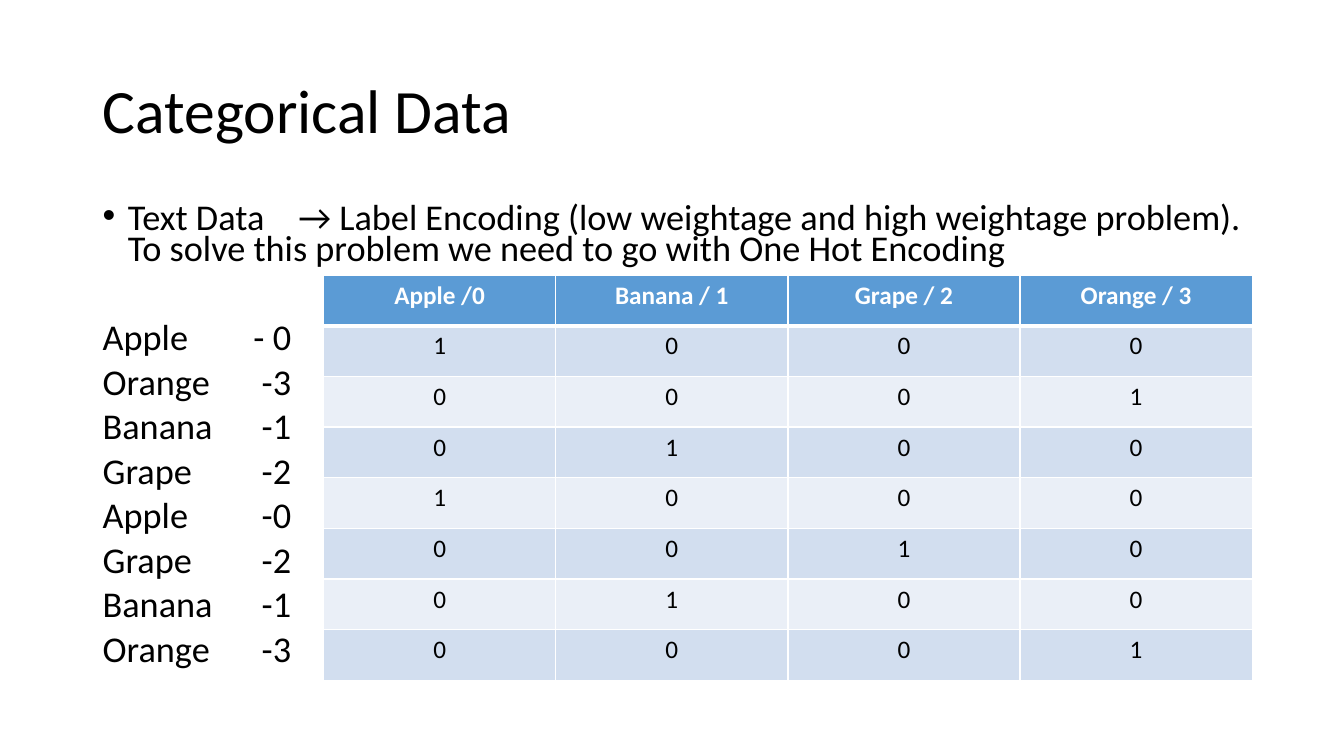
from lxml import etree
from pptx import Presentation
from pptx.dml.color import RGBColor
from pptx.enum.text import MSO_ANCHOR, PP_ALIGN
from pptx.oxml.ns import qn
from pptx.util import Inches, Pt

TITLE = "Categorical Data"
INTRO = ("Text Data\t→ Label Encoding (low weightage and high weightage problem). "
         "To solve this problem we need to go with One Hot Encoding")
ITEMS = [("Apple", "- 0"), ("Orange", "-3"), ("Banana", "-1"), ("Grape", "-2"),
         ("Apple", "-0"), ("Grape", "-2"), ("Banana", "-1"), ("Orange", "-3")]
ROWS = [
    ["Apple /0", "Banana / 1", "Grape / 2", "Orange / 3"],
    [1, 0, 0, 0],
    [0, 0, 0, 1],
    [0, 1, 0, 0],
    [1, 0, 0, 0],
    [0, 0, 1, 0],
    [0, 1, 0, 0],
    [0, 0, 0, 1],
]

FONT = "Calibri"
BLACK = RGBColor(0, 0, 0)
WHITE = RGBColor(0xFF, 0xFF, 0xFF)
HEADER = RGBColor(0x5B, 0x9B, 0xD5)
BANDS = [RGBColor(0xEA, 0xEF, 0xF7), RGBColor(0xD2, 0xDE, 0xEF)]
CENTER = PP_ALIGN.CENTER
MIDDLE = MSO_ANCHOR.MIDDLE
TOP = MSO_ANCHOR.TOP
BODY_SIZE = 25.9
TABLE_WIDTH, TABLE_HEIGHT = 9.21, 4.02


def write(p, text, size, color=BLACK, bold=False, align=None, spacing=None, before=0):
    r = p.add_run()
    r.text = text
    r.font.name = FONT
    r.font.size = Pt(size)
    r.font.bold = bold
    r.font.color.rgb = color
    p.alignment = align
    p.line_spacing = spacing
    p.space_before = Pt(before)


def add_box(s, left, top, width, height, anchor):
    tf = s.shapes.add_textbox(Inches(left), Inches(top), Inches(width), Inches(height)).text_frame
    tf.word_wrap = True
    tf.vertical_anchor = anchor
    return tf


def add_bullet(p):
    pPr = p._p.get_or_add_pPr()
    pPr.set("marL", str(Inches(0.25)))
    pPr.set("indent", str(Inches(-0.25)))
    etree.SubElement(pPr, qn("a:buFont"), typeface="Arial")
    etree.SubElement(pPr, qn("a:buChar"), char="•")


def add_tab(p, position, align):
    tabs = etree.SubElement(p._p.get_or_add_pPr(), qn("a:tabLst"))
    etree.SubElement(tabs, qn("a:tab"), pos=str(Inches(position)), algn=align)


def set_borders(cell, widths):
    tcPr = cell._tc.get_or_add_tcPr()
    for i, (side, width) in enumerate(widths.items()):
        ln = etree.Element(qn("a:ln" + side), w=str(Pt(width)))
        fill = etree.SubElement(ln, qn("a:solidFill"))
        etree.SubElement(fill, qn("a:srgbClr"), val=str(WHITE))
        tcPr.insert(i, ln)


prs = Presentation()
prs.slide_width, prs.slide_height = Inches(13.33), Inches(7.5)
s = prs.slides.add_slide(prs.slide_layouts[6])

tf = add_box(s, 0.92, 0.4, 11.5, 1.45, MIDDLE)
write(tf.paragraphs[0], TITLE, 44, spacing=0.9)

tf = add_box(s, 0.92, 2, 11.5, 4.76, TOP)
p = tf.paragraphs[0]
write(p, INTRO, BODY_SIZE, spacing=0.7, before=10)
add_bullet(p)
add_tab(p, 1.94, "l")
for i, (fruit, label) in enumerate(ITEMS):
    p = tf.add_paragraph()
    write(p, f"{fruit}\t{label}", BODY_SIZE, spacing=0.7, before=10 if i else 42)
    add_tab(p, 1.87, "r")

table = s.shapes.add_table(len(ROWS), len(ROWS[0]), Inches(3.21), Inches(2.73),
                           Inches(TABLE_WIDTH), Inches(TABLE_HEIGHT)).table
for col in table.columns:
    col.width = Inches(TABLE_WIDTH / len(ROWS[0]))
for i, values in enumerate(ROWS):
    table.rows[i].height = Inches(TABLE_HEIGHT / len(ROWS))
    is_header = i == 0
    for j, value in enumerate(values):
        cell = table.cell(i, j)
        cell.fill.solid()
        cell.fill.fore_color.rgb = HEADER if is_header else BANDS[i % 2]
        set_borders(cell, {"L": 1, "R": 1, "T": 3 if i == 1 else 1, "B": 3 if is_header else 1})
        write(cell.text_frame.paragraphs[0], str(value), 18,
              color=WHITE if is_header else BLACK, bold=is_header, align=CENTER)

prs.save("out.pptx")
